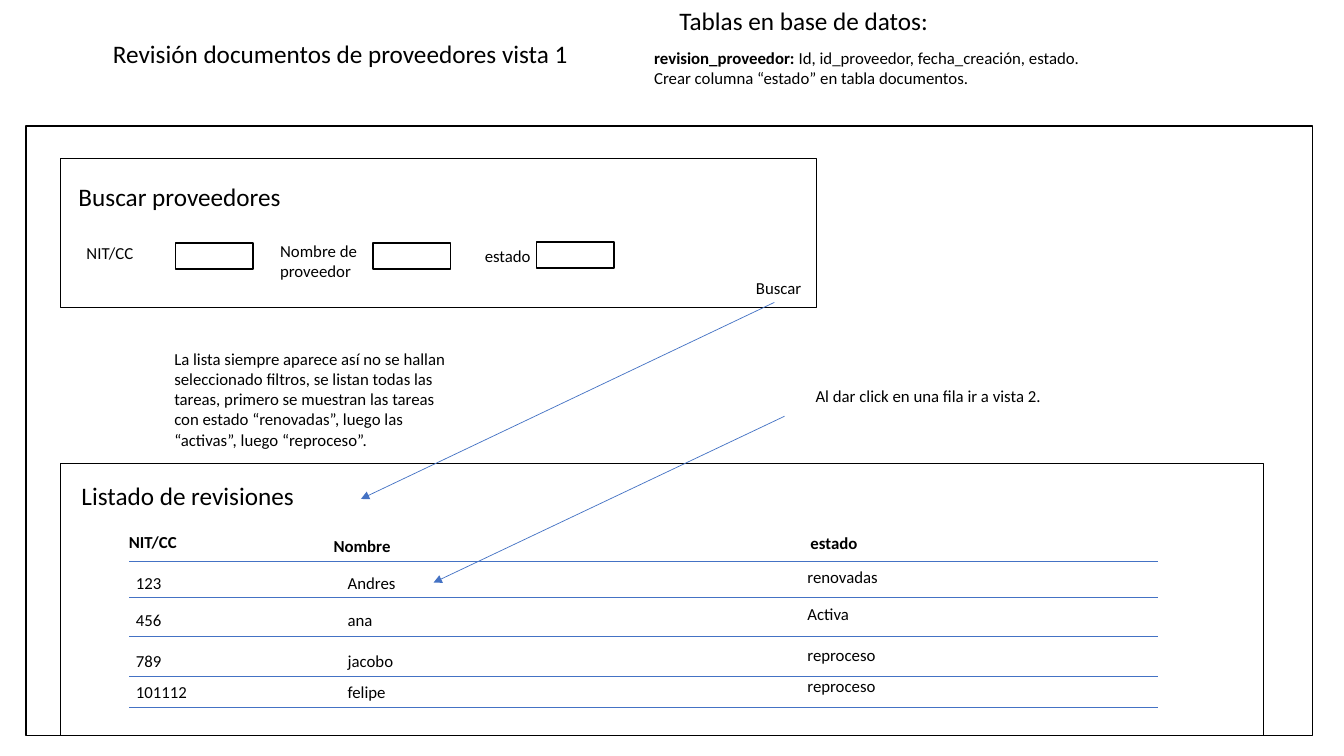
from lxml.etree import SubElement
from pptx import Presentation
from pptx.dml.color import RGBColor
from pptx.enum.shapes import MSO_CONNECTOR, MSO_SHAPE
from pptx.enum.text import MSO_ANCHOR, MSO_AUTO_SIZE, PP_ALIGN
from pptx.oxml.ns import qn
from pptx.util import Inches, Pt

COLORS = {"ink": "000000", "accent": "4472C4"}
FONT = "Calibri"
HEADING, BODY = 18, 12


class Wireframe:
    """Draws wireframe elements in one style on the current slide."""

    def __init__(self, prs):
        self.s = prs.slides.add_slide(prs.slide_layouts[5])

    def color(self, name):
        return RGBColor.from_string(COLORS[name])

    def style_run(self, r, size, bold):
        r.font.name = FONT
        r.font.size = Pt(size)
        r.font.bold = bold
        r.font.color.rgb = self.color("ink")

    def style_frame(self, tf, size, bold, wrap):
        tf.word_wrap = wrap
        tf.vertical_anchor = MSO_ANCHOR.TOP
        for p in tf.paragraphs:
            p.alignment = PP_ALIGN.LEFT
            for r in p.runs:
                self.style_run(r, size, bold)

    def title(self, text, x, y, w, h):
        sp = self.s.shapes.title
        sp.left, sp.top, sp.width, sp.height = map(Inches, (x, y, w, h))
        sp.text_frame.text = text
        sp.text_frame.auto_size = MSO_AUTO_SIZE.NONE
        self.style_frame(sp.text_frame, HEADING, False, True)

    def text(self, text, x, y, w=1.4, h=0.3, size=BODY, bold=False, wrap=True):
        sp = self.s.shapes.add_textbox(*map(Inches, (x, y, w, h)))
        tf = sp.text_frame
        tf.text = text
        tf.auto_size = MSO_AUTO_SIZE.SHAPE_TO_FIT_TEXT
        self.style_frame(tf, size, bold, wrap)
        return tf

    def heading(self, text, x, y, w=3.11, wrap=True):
        self.text(text, x, y, w, 0.4, HEADING, wrap=wrap)

    def box(self, x, y, w, h):
        sp = self.s.shapes.add_shape(MSO_SHAPE.RECTANGLE, *map(Inches, (x, y, w, h)))
        sp.shadow.inherit = False
        sp.fill.background()
        sp.line.color.rgb = self.color("ink")
        sp.line.width = Pt(1)

    def line(self, x1, y1, x2, y2, arrow=False):
        sp = self.s.shapes.add_connector(
            MSO_CONNECTOR.STRAIGHT, *map(Inches, (x1, y1, x2, y2)))
        sp.line.color.rgb = self.color("accent")
        sp.line.width = Pt(0.5)
        if arrow:
            SubElement(sp.line._get_or_add_ln(), qn("a:tailEnd"), type="triangle")
        SubElement(sp._element.spPr, qn("a:effectLst"))


def draw_header(view):
    view.title("Revisión documentos de proveedores vista 1", 1.02, 0.33, 5, 0.4)
    view.heading("Tablas en base de datos:", 6.64, 0, 2.7, wrap=False)
    tf = view.text("revision_proveedor: \nCrear columna “estado” en tabla documentos.",
                   6.39, 0.42, 6.53, 0.5)
    p = tf.paragraphs[0]
    p.runs[0].font.bold = True
    r = p.add_run()
    r.text = "Id, id_proveedor, fecha_creación, estado."
    view.style_run(r, BODY, False)


def draw_search(view):
    view.box(0.6, 1.57, 7.5, 1.48)
    view.heading("Buscar proveedores", 0.68, 1.75)
    fields = [("NIT/CC", 0.76, 2.36, 0.3, 1.74, 2.41),
              ("Nombre de proveedor", 2.68, 2.34, 0.5, 3.7, 2.41),
              ("estado", 4.71, 2.39, 0.3, 5.32, 2.4)]
    for label, x, y, h, input_x, input_y in fields:
        view.text(label, x, y, h=h)
        view.box(input_x, input_y, 0.77, 0.26)
    view.text("Buscar", 7.4, 2.71)


def draw_list(view):
    view.box(0.6, 4.6, 11.93, 2.7)
    view.heading("Listado de revisiones", 0.71, 4.72)
    for label, x, y in [("NIT/CC", 1.18, 5.23), ("Nombre", 3.21, 5.27),
                        ("estado", 7.94, 5.24)]:
        view.text(label, x, y, bold=True)
    rows = [("123", "Andres", "renovadas", 5.63),
            ("456", "ana", "Activa", 6),
            ("789", "jacobo", "reproceso", 6.41),
            ("101112", "felipe", "reproceso", 6.71)]
    for nit, name, status, y in rows:
        view.text(nit, 1.25, y)
        view.text(name, 3.35, y)
        view.text(status, 7.91, y - 0.06)
    for y in (5.57, 5.93, 6.31, 6.71, 7.02):
        view.line(1.28, y, 11.49, y)


def draw_notes(view):
    view.text("La lista siempre aparece así no se hallan seleccionado filtros, "
              "se listan todas las tareas, primero se muestran las tareas con estado "
              "“renovadas”, luego las “activas”, luego “reproceso”.",
              1.63, 3.41, 2.95, 1.11)
    view.text("Al dar click en una fila ir a vista 2.", 7.99, 3.78, 2.95)
    view.line(7.68, 3, 3.58, 4.95, arrow=True)
    view.line(7.78, 4.13, 4.3, 5.78, arrow=True)


def main():
    prs = Presentation()
    prs.slide_width, prs.slide_height = Inches(13.33), Inches(7.5)
    view = Wireframe(prs)
    draw_header(view)
    view.box(0.26, 1.25, 12.76, 6.05)
    draw_search(view)
    draw_list(view)
    draw_notes(view)
    prs.save("out.pptx")


if __name__ == "__main__":
    main()
